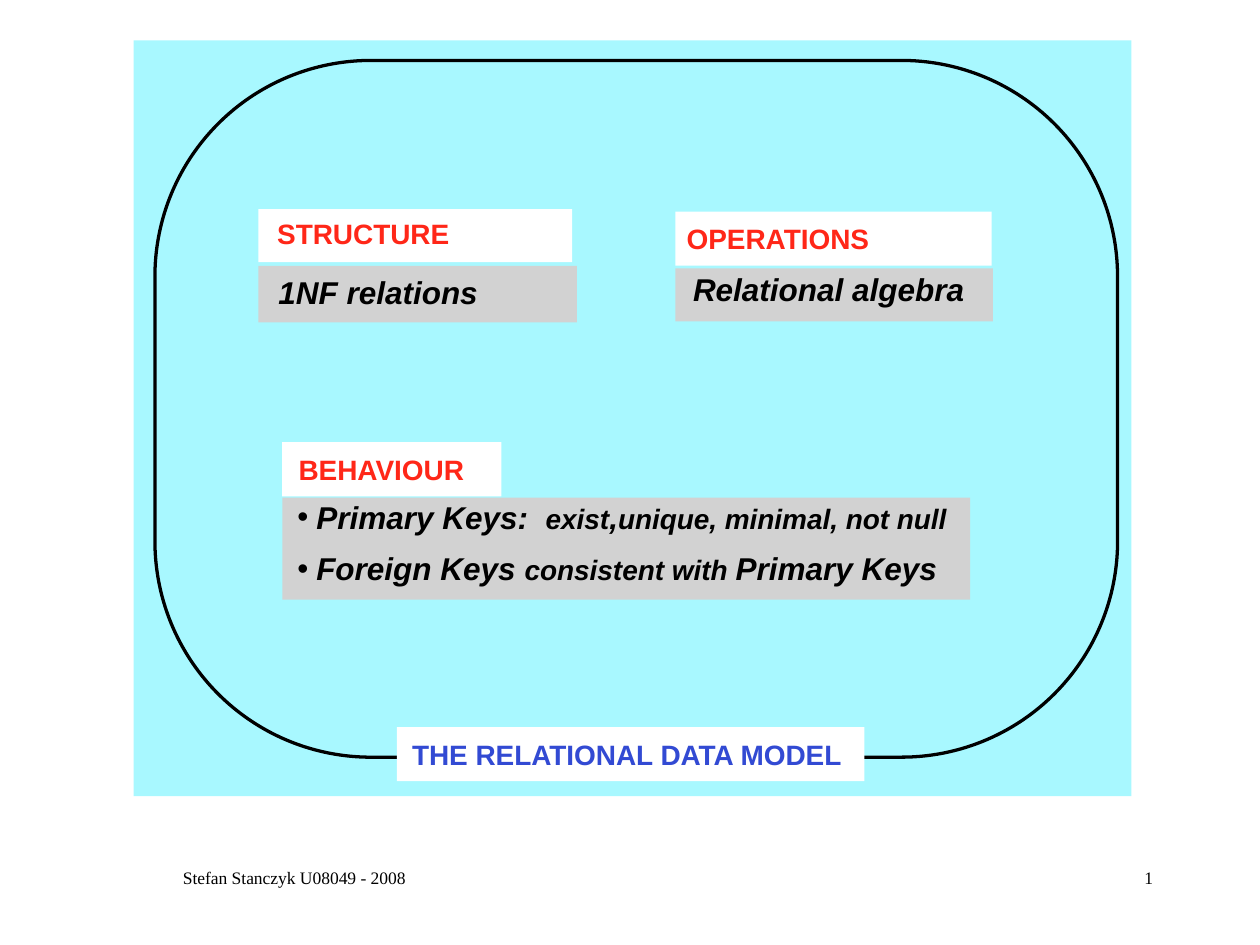
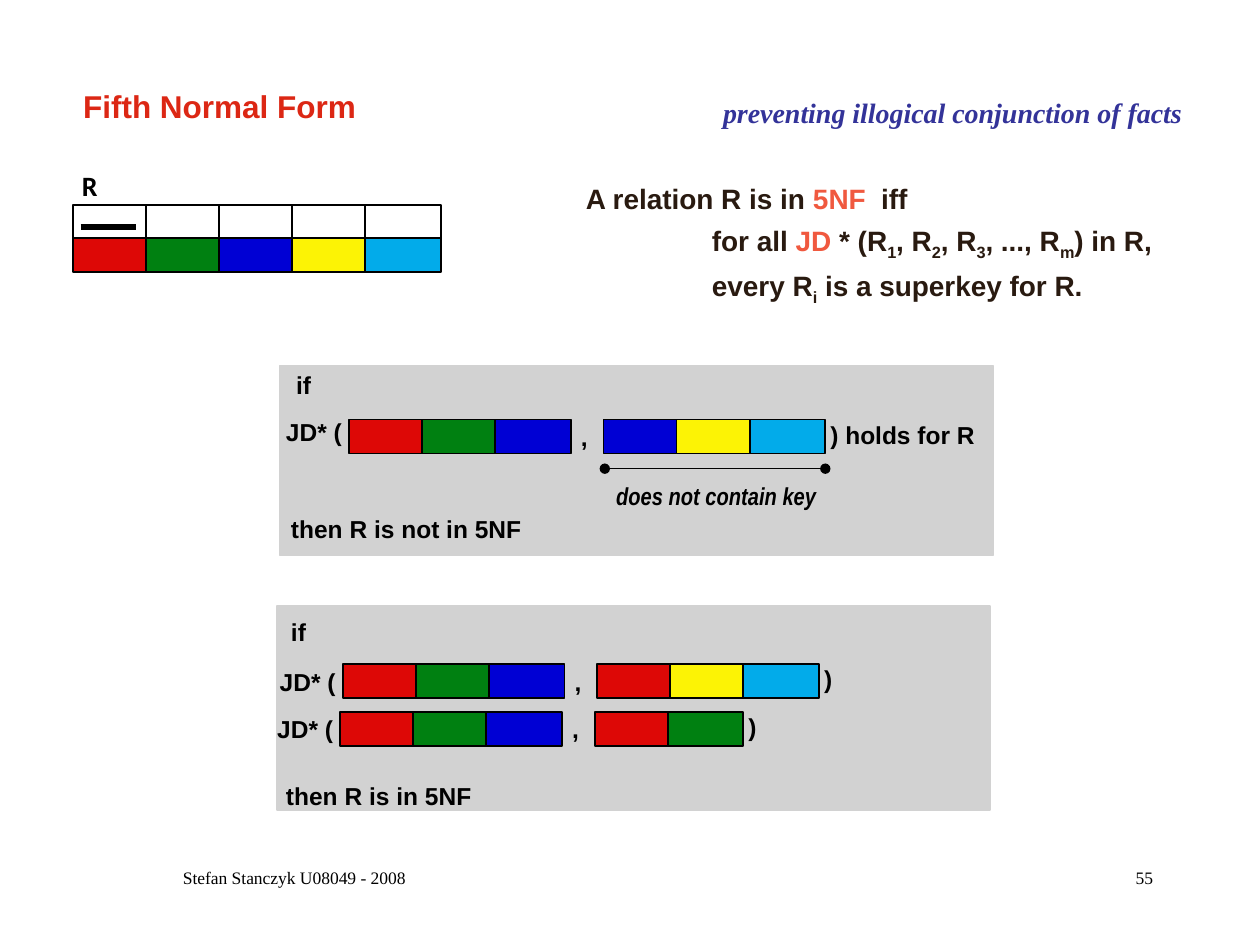
from dataclasses import dataclass
from typing import NamedTuple, Optional, Sequence

from lxml import etree
from pptx import Presentation
from pptx.dml.color import RGBColor
from pptx.enum.shapes import MSO_CONNECTOR, MSO_SHAPE
from pptx.enum.text import MSO_ANCHOR, MSO_AUTO_SIZE, PP_ALIGN
from pptx.oxml.ns import qn
from pptx.util import Inches, Pt

RECTANGLE = MSO_SHAPE.RECTANGLE
ROUNDED = MSO_SHAPE.ROUNDED_RECTANGLE
STRAIGHT = MSO_CONNECTOR.STRAIGHT
LEFT, CENTER, RIGHT = PP_ALIGN.LEFT, PP_ALIGN.CENTER, PP_ALIGN.RIGHT
TITLE_AND_CONTENT = 1


@dataclass(frozen=True)
class Theme:
    sans: str = "Arial"
    narrow: str = "Arial Narrow"
    symbol: str = "Calibri"
    serif: str = "Times New Roman"
    large: float = 18
    medium: float = 16
    small: float = 14
    tiny: float = 10
    black: str = "000000"
    white: str = "FFFFFF"
    panel: str = "D2D2D2"
    backdrop: str = "A8F8FF"
    model_title: str = "324AD3"
    heading: str = "FF2718"
    form_title: str = "DC2714"
    subtitle: str = "333399"
    definition: str = "291A10"
    emphasis: str = "F0593F"
    red: str = "DD0806"
    green: str = "008011"
    blue: str = "0000D4"
    yellow: str = "FCF305"
    cyan: str = "02ABEA"


THEME = Theme()


class Frame(NamedTuple):
    left: float
    top: float
    width: float
    height: float

    def lengths(self) -> list:
        return [Inches(value) for value in self]


class Style(NamedTuple):
    size: float
    color: str = THEME.black
    font: str = THEME.sans
    bold: bool = True
    italic: bool = False


class Span(NamedTuple):
    text: str
    size: Optional[float] = None
    color: Optional[str] = None
    subscript: bool = False


class Card(NamedTuple):
    heading: str
    heading_frame: Frame
    heading_inset: tuple
    content: str
    content_frame: Frame
    content_inset: tuple


class JoinRow(NamedTuple):
    left: float
    top: float
    label_shift: float
    first: Sequence[str]
    second: Sequence[str]
    ending: str


HEADING = Style(THEME.medium, THEME.heading)
CONTENT = Style(THEME.large, italic=True)
LABEL = Style(THEME.small)
FOOTER = Style(THEME.tiny, font=THEME.serif, bold=False)
PADDING = (0.1, 0.05)
CELL_PITCH, CELL_WIDTH, CELL_HEIGHT = 0.58, 0.6, 0.27


# Text helpers
def fit_box(box, inset: tuple) -> None:
    text = box.text_frame
    text.auto_size = MSO_AUTO_SIZE.NONE
    text.word_wrap = True
    text.vertical_anchor = MSO_ANCHOR.TOP
    text.margin_left, text.margin_top = (Inches(value) for value in inset)
    text.margin_right, text.margin_bottom = text.margin_left, 0


def set_list(para, bullet: str = "", margin: float = 0, indent: float = 0) -> None:
    properties = para._p.get_or_add_pPr()
    properties.set("marL", str(Inches(margin)))
    properties.set("indent", str(Inches(indent)))
    if bullet:
        etree.SubElement(properties, qn("a:buChar")).set("char", bullet)
    else:
        etree.SubElement(properties, qn("a:buNone"))


def write(para, spans: Sequence[Span], style: Style, align=LEFT,
          before: float = 0) -> None:
    para.alignment = align
    para.space_before = Pt(before)
    font = para.font
    font.name, font.size = style.font, Pt(style.size)
    font.bold, font.italic = style.bold, style.italic
    font.color.rgb = RGBColor.from_string(style.color)
    for span in spans:
        run = para.add_run()
        run.text = span.text
        if span.size:
            run.font.size = Pt(span.size)
        if span.color:
            run.font.color.rgb = RGBColor.from_string(span.color)
        if span.subscript:
            run._r.get_or_add_rPr().set("baseline", "-25000")


def add_text(slide, frame: Frame, text: str, style: Style,
             inset: tuple = (0, 0), align=LEFT) -> None:
    box = slide.shapes.add_textbox(*frame.lengths())
    fit_box(box, inset)
    write(box.text_frame.paragraphs[0], [Span(text)], style, align)


def place(box, frame: Frame, inset: tuple) -> None:
    box.left, box.top, box.width, box.height = frame.lengths()
    fit_box(box, inset)


def set_title(slide, frame: Frame, text: str, style: Style, inset: tuple):
    title = slide.shapes.title
    place(title, frame, inset)
    write(title.text_frame.paragraphs[0], [Span(text)], style)
    return title


# Shape helpers
def fill_with(shape, color: str) -> None:
    shape.fill.solid()
    shape.fill.fore_color.rgb = RGBColor.from_string(color)


def add_block(slide, frame: Frame, fill: Optional[str],
              line: Optional[str] = None, weight: float = 1, kind=RECTANGLE):
    shape = slide.shapes.add_shape(kind, *frame.lengths())
    shape.shadow.inherit = False
    if fill:
        fill_with(shape, fill)
    else:
        shape.fill.background()
    if line:
        shape.line.color.rgb = RGBColor.from_string(line)
        shape.line.width = Pt(weight)
    else:
        shape.line.fill.background()
    return shape


def add_label_block(slide, frame: Frame, fill: str, text: str,
                    style: Style, inset: tuple) -> None:
    block = add_block(slide, frame, fill)
    fit_box(block, inset)
    write(block.text_frame.paragraphs[0], [Span(text)], style)


def add_line(slide, left: float, right: float, top: float, weight: float,
             dots: bool = False) -> None:
    line = slide.shapes.add_connector(
        STRAIGHT, Inches(left), Inches(top), Inches(right), Inches(top))
    line.line.color.rgb = RGBColor.from_string(THEME.black)
    line.line.width = Pt(weight)
    if dots:
        outline = line.line._get_or_add_ln()
        for end in ("a:headEnd", "a:tailEnd"):
            etree.SubElement(outline, qn(end)).set("type", "oval")
    etree.SubElement(line.element.spPr, qn("a:effectLst"))


def add_cells(slide, left: float, top: float, colors: Sequence[str]) -> float:
    """Draw adjoining cells and return their right edge."""
    for column, color in enumerate(colors):
        frame = Frame(left + column * CELL_PITCH, top, CELL_WIDTH, CELL_HEIGHT)
        add_block(slide, frame, color, THEME.black)
    return left + (len(colors) - 1) * CELL_PITCH + CELL_WIDTH


def add_join_row(slide, row: JoinRow) -> None:
    add_text(slide, Frame(row.left - 0.5, row.top + row.label_shift, 0.6, 0.23),
             "JD* (", LABEL)
    add_cells(slide, row.left, row.top, row.first)
    add_text(slide, Frame(row.left + 1.84, row.top + 0.02, 0.15, 0.23), ",", LABEL)
    right = add_cells(slide, row.left + 2.02, row.top, row.second)
    add_text(slide, Frame(right + 0.04, row.top, 1.4, 0.23), row.ending, LABEL)


def add_footer(slide, number: str) -> None:
    add_text(slide, Frame(0.75, 6.83, 3.17, 0.5), "Stefan Stanczyk U08049 - 2008",
             FOOTER, PADDING, CENTER)
    add_text(slide, Frame(7.17, 6.83, 2.08, 0.5), number, FOOTER, PADDING, RIGHT)


# Slide 1: the three parts of the relational model
def build_model_slide(deck) -> None:
    slide = deck.slides.add_slide(deck.slide_layouts[TITLE_AND_CONTENT])
    body = slide.placeholders[1]
    add_block(slide, Frame(1.06, 0.32, 7.92, 6), THEME.backdrop)
    border = add_block(slide, Frame(1.23, 0.48, 7.64, 5.53), None,
                       THEME.black, 1.87, ROUNDED)
    border.adjustments[0] = 0.31

    title = set_title(slide, Frame(3.15, 5.77, 3.71, 0.43),
                      "THE RELATIONAL DATA MODEL",
                      Style(THEME.medium, THEME.model_title), (0.12, 0.08))
    fill_with(title, THEME.white)

    cards = [
        Card("STRUCTURE", Frame(2.05, 1.66, 2.49, 0.42), (0.15, 0.06),
             "1NF relations", Frame(2.05, 2.11, 2.53, 0.45), (0.16, 0.06)),
        Card("OPERATIONS", Frame(5.36, 1.68, 2.51, 0.43), (0.09, 0.08),
             "Relational algebra", Frame(5.36, 2.13, 2.52, 0.42), (0.14, 0.01)),
    ]
    for card in cards:
        add_label_block(slide, card.heading_frame, THEME.white, card.heading,
                        HEADING, card.heading_inset)
        add_label_block(slide, card.content_frame, THEME.panel, card.content,
                        CONTENT, card.content_inset)

    # Behaviour rules
    add_label_block(slide, Frame(2.24, 3.51, 1.74, 0.43), THEME.white,
                    "BEHAVIOUR", HEADING, (0.13, 0.08))
    place(body, Frame(2.24, 3.95, 5.46, 0.81), (0.12, 0))
    fill_with(body, THEME.panel)
    rules = [
        [Span("Primary Keys:  "), Span("exist", THEME.medium), Span(","),
         Span("unique, minimal, not null", THEME.medium)],
        [Span("Foreign Keys "), Span("consistent with ", THEME.medium),
         Span("Primary Keys")],
    ]
    for index, rule in enumerate(rules):
        text = body.text_frame
        para = text.add_paragraph() if index else text.paragraphs[0]
        set_list(para, "•", 0.15, -0.15)
        write(para, rule, CONTENT, before=8 if index else 0)

    # Placeholders come in front of the backdrop
    for holder in (title, body):
        slide.shapes.element.append(holder.element)
    add_footer(slide, "1")


# Slide 2: definition and examples of fifth normal form
def build_fifth_form_slide(deck) -> None:
    slide = deck.slides.add_slide(deck.slide_layouts[TITLE_AND_CONTENT])
    set_title(slide, Frame(0.56, 0.64, 3, 0.4), "Fifth Normal Form",
              Style(THEME.large, THEME.form_title), PADDING)
    add_text(slide, Frame(5.64, 0.71, 4.1, 0.37),
             "preventing illogical conjunction of facts",
             Style(THEME.medium, THEME.subtitle, THEME.serif, italic=True), PADDING)

    # Relation R with its key underlined
    red, green, blue = THEME.red, THEME.green, THEME.blue
    yellow, cyan = THEME.yellow, THEME.cyan
    add_text(slide, Frame(0.65, 1.34, 0.3, 0.27), "R",
             Style(THEME.medium, font=THEME.symbol))
    add_cells(slide, 0.58, 1.63, [THEME.white] * 5)
    add_cells(slide, 0.58, 1.89, [red, green, blue, yellow, cyan])
    add_line(slide, 0.64, 1.08, 1.8, 3.12)

    # Definition
    body = slide.placeholders[1]
    place(body, Frame(4.55, 1.34, 5, 1.15), PADDING)
    join = [Span("for all "), Span("JD", color=THEME.emphasis), Span(" * (R")]
    for index, separator in (("1", ", R"), ("2", ", R"), ("3", ", ..., R"),
                             ("m", ") in R,")):
        join += [Span(index, subscript=True), Span(separator)]
    lines = [
        [Span("A relation R is in "), Span("5NF", color=THEME.emphasis),
         Span("  iff")],
        join,
        [Span("every R"), Span("i", subscript=True),
         Span(" is a superkey for R.")],
    ]
    for index, spans in enumerate(lines):
        text = body.text_frame
        para = text.add_paragraph() if index else text.paragraphs[0]
        set_list(para, margin=1 if index else 0)
        para.line_spacing = 1.2
        write(para, spans, Style(THEME.medium, THEME.definition))

    # Example panels
    for frame in (Frame(2.22, 2.9, 5.66, 1.51), Frame(2.2, 4.81, 5.66, 1.62)):
        add_block(slide, frame, THEME.panel, THEME.panel)
    for left, top, text in ((2.35, 2.94, "if"), (2.31, 4.08, "then R is not in 5NF"),
                            (2.31, 4.9, "if"), (2.27, 6.2, "then R is in 5NF")):
        add_text(slide, Frame(left, top, 2.2, 0.23), text, LABEL)
    trio = [red, green, blue]
    for row in (
        JoinRow(2.77, 3.33, -0.02, trio, [blue, yellow, cyan], ") holds for R"),
        JoinRow(2.72, 5.27, 0.02, trio, [red, yellow, cyan], ")"),
        JoinRow(2.7, 5.65, 0.02, trio, [red, green], ")"),
    ):
        add_join_row(slide, row)
    add_line(slide, 4.8, 6.55, 3.72, 0.75, dots=True)
    add_text(slide, Frame(4.89, 3.82, 1.9, 0.23), "does not contain key",
             Style(THEME.small, font=THEME.narrow, italic=True))
    add_footer(slide, "55")


def main() -> None:
    deck = Presentation()
    deck.slide_width, deck.slide_height = Inches(10), Inches(7.5)
    build_model_slide(deck)
    build_fifth_form_slide(deck)
    deck.save("out.pptx")


if __name__ == "__main__":
    main()
